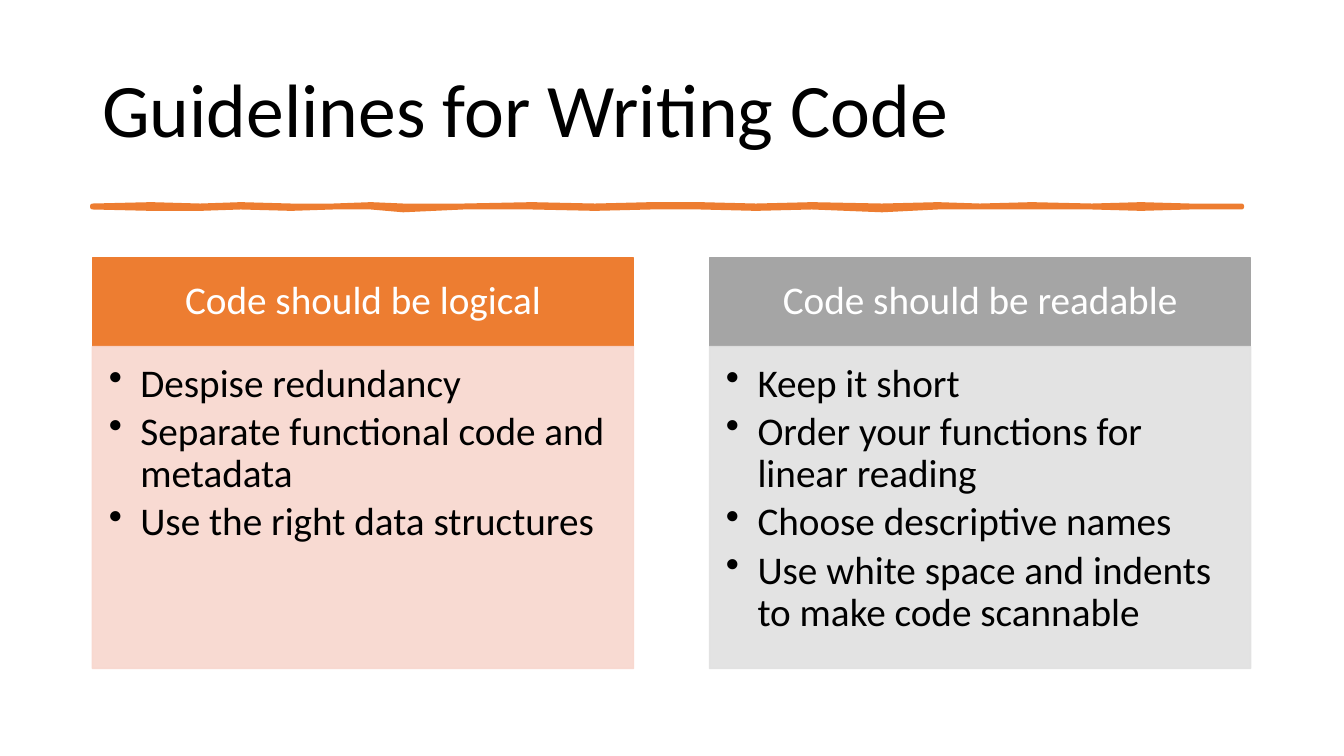
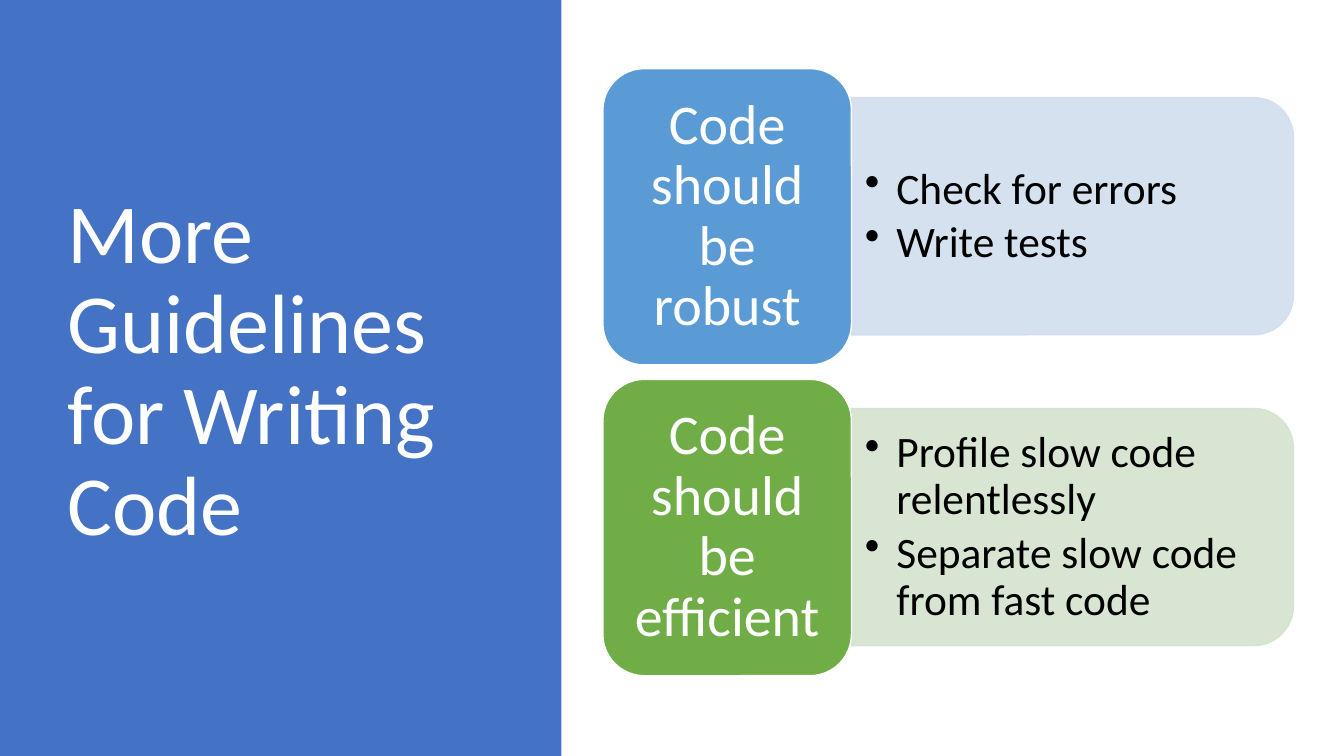
"""Two slides of guidelines for writing code."""
from pptx import Presentation
from pptx.dml.color import RGBColor
from pptx.enum import shapes as sh, text as tx
from pptx.oxml import ns, xmlchemy as xc
from pptx.util import Pt

FONT = "Calibri"
BLACK = RGBColor(0x00, 0x00, 0x00)
WHITE = RGBColor(0xFF, 0xFF, 0xFF)
ORANGE = RGBColor(0xED, 0x7D, 0x31)
PEACH = RGBColor(0xF8, 0xD7, 0xCE)
GRAY = RGBColor(0xA5, 0xA5, 0xA5)
SILVER = RGBColor(0xE1, 0xE1, 0xE1)
BLUE = RGBColor(0x44, 0x72, 0xC4)
SKY = RGBColor(0x5B, 0x9B, 0xD5)
ICE = RGBColor(0xD2, 0xDE, 0xEF)
GREEN = RGBColor(0x70, 0xAD, 0x47)
MINT = RGBColor(0xD5, 0xE3, 0xCF)
KIND = sh.MSO_SHAPE
MID = tx.MSO_ANCHOR.MIDDLE
TOP = tx.MSO_ANCHOR.TOP
LEFT = tx.PP_ALIGN.LEFT
MIDDLE = tx.PP_ALIGN.CENTER


def box(slide, kind, at, fill, edge=None, clear=False):
    shape = slide.shapes.add_shape(kind, *[Pt(n) for n in at])
    shape.shadow.inherit = False
    shape.fill.solid()
    shape.fill.fore_color.rgb = fill
    if edge is None:
        shape.line.fill.background()
    else:
        shape.line.color.rgb = edge
        shape.line.width = Pt(1)
    if clear:
        for tone in shape.element.spPr.iter(ns.qn("a:srgbClr")):
            alpha = xc.OxmlElement("a:alpha")
            alpha.set("val", "90000")
            tone.append(alpha)
    return shape


def write(shape, lines, size, color, pad=(7.2, 3.6, 7.2, 3.6),
          anchor=MID, align=LEFT, bullet=False):
    frame = shape.text_frame
    frame.word_wrap = True
    frame.vertical_anchor = anchor
    frame.margin_left, frame.margin_top, frame.margin_right, frame.margin_bottom = [
        Pt(n) for n in pad]
    for i, line in enumerate(lines):
        para = frame.add_paragraph() if i else frame.paragraphs[0]
        para.alignment = align
        para.line_spacing = 0.9
        if bullet:
            para.space_after = Pt(round(size * 0.15, 2))
            props = para._p.get_or_add_pPr()
            props.set("marL", str(Pt(22.5)))
            props.set("indent", str(Pt(-22.5)))
            mark = xc.OxmlElement("a:buChar")
            mark.set("char", "•")
            props.append(mark)
        run = para.add_run()
        run.text = line
        run.font.name = FONT
        run.font.size = Pt(size)
        run.font.color.rgb = color


deck = Presentation()
deck.slide_width, deck.slide_height = Pt(960), Pt(540)
blank = deck.slide_layouts[6]

slide = deck.slides.add_slide(blank)
title = slide.shapes.add_textbox(Pt(66), Pt(28.8), Pt(828), Pt(104.4))
write(title, ["Guidelines for Writing Code"], 54, BLACK)

stroke = [
    (66, 146.9, 148.3), (108, 146.2, 148.6), (143, 147.1, 148.8),
    (172, 146.5, 148.2), (208, 147.2, 148.9), (238, 146.8, 148.2),
    (265, 146.2, 148.2), (288, 147, 149.5), (331, 146.8, 148.5),
    (380, 146.5, 148.3), (425, 146.8, 148.6), (465, 146.4, 148.3),
    (500, 145.8, 148.4), (540, 147, 149), (580, 146.5, 148.2),
    (630, 147, 149.6), (670, 146.4, 148.4), (700, 147, 148.2),
    (737, 146.3, 148.4), (780, 146.8, 148.4), (815, 146.2, 149.4),
    (850, 147, 148.4), (887, 146.9, 148.3),
]
upper = [(x, top) for x, top, low in stroke]
lower = [(x, low) for x, top, low in reversed(stroke)]
pen = slide.shapes.build_freeform(*upper[0], scale=Pt(1))
pen.add_line_segments(upper[1:] + lower, close=True)
rule = pen.convert_to_shape()
rule.shadow.inherit = False
rule.fill.solid()
rule.fill.fore_color.rgb = ORANGE
rule.line.color.rgb = ORANGE
rule.line.width = Pt(3.25)

cards = [
    ("Code should be logical", ORANGE, PEACH,
     ["Despise redundancy", "Separate functional code and metadata",
      "Use the right data structures"]),
    ("Code should be readable", GRAY, SILVER,
     ["Keep it short", "Order your functions for linear reading",
      "Choose descriptive names",
      "Use white space and indents to make code scannable"]),
]
for i, (name, dark, pale, lines) in enumerate(cards):
    x = 66 + i * 440.8
    head = box(slide, KIND.RECTANGLE, (x, 184.2, 386.6, 63.4), dark, dark)
    write(head, [name], 28, WHITE, (15.8, 8.6, 15.8, 8.6), align=MIDDLE)
    body = box(slide, KIND.RECTANGLE, (x, 247.6, 386.6, 229.8), pale, pale, True)
    write(body, lines, 28, BLACK, (11.8, 11.8, 15.8, 17.3), TOP, bullet=True)

slide = deck.slides.add_slide(blank)
box(slide, KIND.RECTANGLE, (0, 0, 401, 540), BLUE)
title = slide.shapes.add_textbox(Pt(41), Pt(49), Pt(299.5), Pt(433.4))
write(title, ["More Guidelines for Writing Code"], 60, WHITE)

rows = [
    ("Code should be robust", SKY, ICE, ["Check for errors", "Write tests"]),
    ("Code should be efficient", GREEN, MINT,
     ["Profile slow code relentlessly", "Separate slow code from fast code"]),
]
for i, (name, dark, pale, lines) in enumerate(rows):
    y = 49 + i * 222
    panel = box(slide, KIND.ROUND_2_SAME_RECTANGLE,
                (681.3, y - 52.4, 169.4, 315.8), pale, pale, True)
    panel.rotation = 90
    note = slide.shapes.add_textbox(Pt(608.4), Pt(y + 29.5), Pt(307.4), Pt(152.6))
    write(note, lines, 31, BLACK, (9.4, 4.3, 9.4, 4.3), bullet=True)
    tile = box(slide, KIND.ROUNDED_RECTANGLE, (430.6, y, 177.6, 211.7), dark, WHITE)
    write(tile, [name], 40, WHITE, (12.2, 5.8, 12.2, 5.8), align=MIDDLE)

deck.save("out.pptx")
